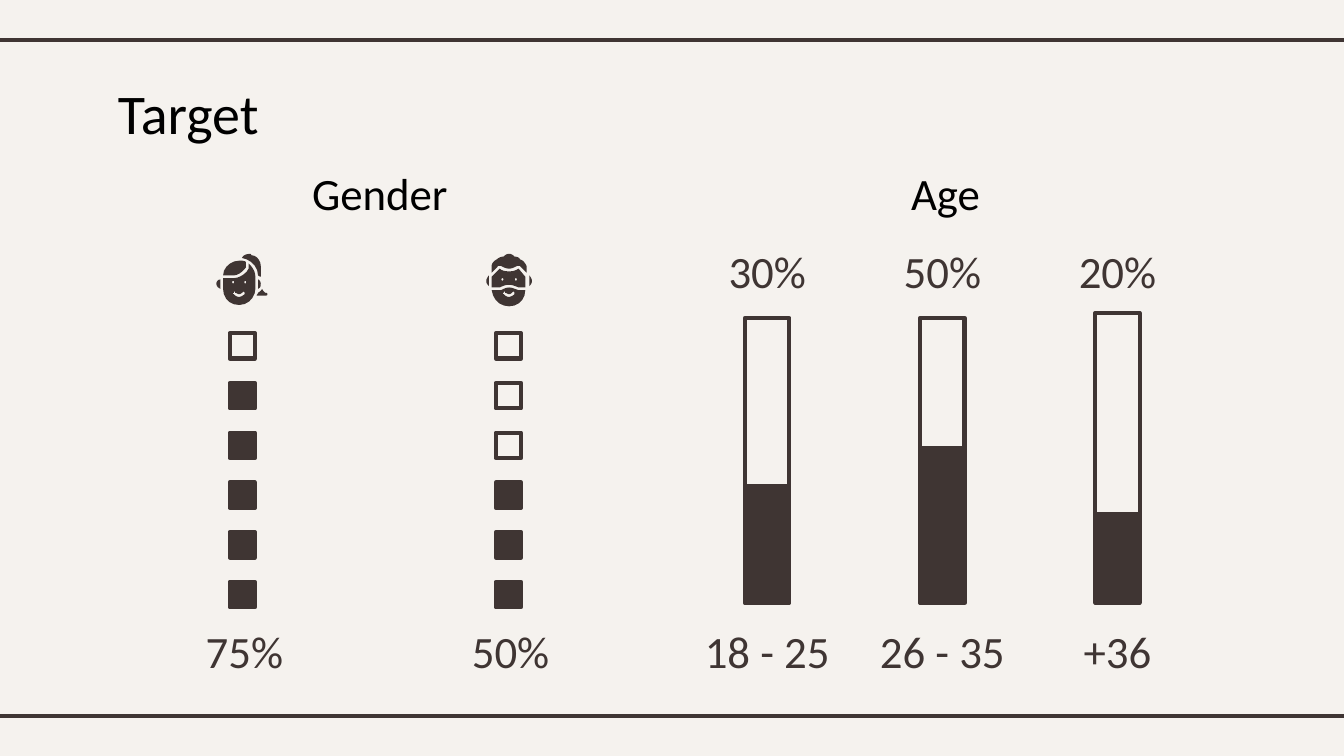
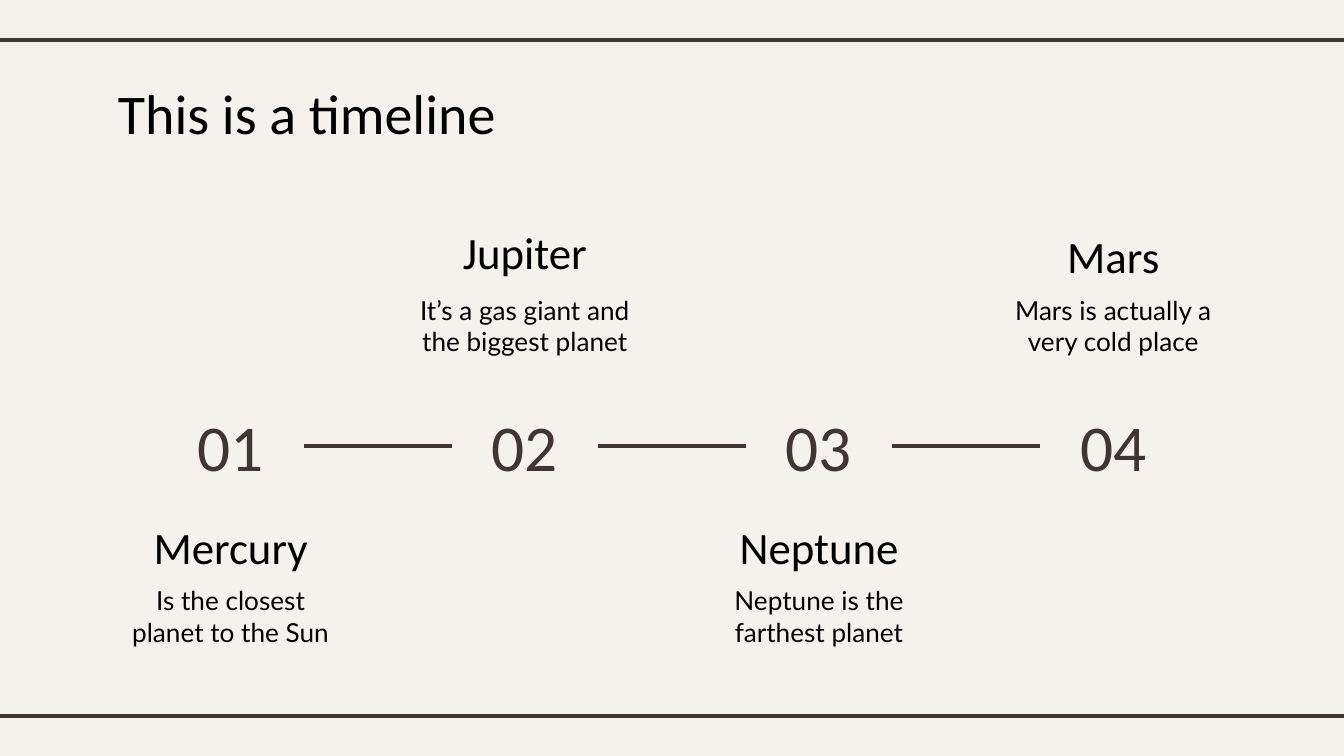
from lxml import etree
from pptx import Presentation
from pptx.dml.color import RGBColor
from pptx.enum import shapes, text
from pptx.oxml.ns import qn
from pptx.util import Cm, Pt

COLORS = {"paper": "F5F2EE", "ink": "3F3533", "heading": "000000", "body": "020202"}
SLIDE_WIDTH, SLIDE_HEIGHT = 25.4, 14.29
STROKE = 2.25
ICON_UNIT = 0.0254
CURVE_STEPS = 5

# Outlines of the two face icons, one string a part: M move, L line, C curve, Z close.
MOUTH = ("M 20 28 C 20 28 21 28 21 29 C 21 29 21 30 21 30 C 20 31 18 32 17 32 "
         "C 15 32 14 31 13 30 C 12 30 12 29 13 29 C 13 28 13 28 14 28 "
         "C 14 28 14 28 14 29 C 15 29 16 30 17 30 C 18 30 19 29 19 29 Z")


def eye(x, y):
    return (f" M {x} {y - 1} C {x + 1} {y - 1} {x + 1} {y + 1} {x} {y + 1} "
            f"C {x - 1} {y + 1} {x - 1} {y - 1} {x} {y - 1} Z ")


WOMAN = [
    "M 25 0 C 22 0 20 1 19 3 C 25 4 31 9 31 16 C 32 17 33 17 33 17 L 33 9 "
    "C 33 5 30 1 26 1 C 26 0 25 0 25 0 Z",
    "M 34 26 C 33 28 32 28 31 29 C 31 30 30 30 30 31 L 37 31 "
    "C 37 31 38 31 38 30 C 38 30 38 29 37 29 C 36 29 35 28 34 26 Z",
    "M 17 5 C 11 5 5 10 5 16 L 13 16 C 16 16 20 13 22 10 C 22 9 22 7 22 6 "
    "C 21 5 19 5 17 5 Z",
    "M 24 7 C 24 9 24 10 24 11 C 22 15 17 18 13 18 L 5 18 L 5 26 "
    "C 5 33 10 38 17 38 C 24 38 29 32 29 26 L 29 17 C 29 13 27 10 24 7 Z"
    + eye(12.5, 21) + eye(21.5, 21) + MOUTH,
    "M 31 19 L 31 26 C 33 25 33 24 33 22 C 33 21 32 19 31 19 Z",
    "M 3 19 C 1 19 0 21 0 22 C 0 24 1 25 3 26 Z",
]
MAN = [
    "M 2 16 C 1 17 0 19 0 20 C 0 22 1 23 2 24 Z",
    "M 10 11 L 4 17 L 4 25 L 10 25 C 12 24 14 23 17 23 C 19 23 22 24 24 25 "
    "L 29 25 L 29 17 L 24 11 C 21 13 19 13 17 13 C 15 13 12 13 10 11 Z"
    + eye(12, 19) + eye(22, 19),
    "M 17 0 C 15 0 14 1 13 2 C 11 2 9 3 8 4 C 6 5 4 7 4 9 L 4 14 L 9 9 L 11 9 "
    "C 13 10 15 11 17 11 C 19 11 21 10 23 9 L 25 9 L 30 14 L 30 9 "
    "C 29 7 28 5 25 4 C 25 3 23 2 21 2 C 20 1 19 0 17 0 Z",
    "M 17 25 C 15 25 13 26 11 27 L 4 27 C 5 34 10 39 17 39 "
    "C 24 39 29 34 29 27 L 24 27 C 21 26 19 25 17 25 Z " + MOUTH,
    "M 32 16 L 32 24 C 33 23 34 22 34 20 C 34 19 33 17 32 16 Z",
]


def rgb(name):
    return RGBColor.from_string(COLORS[name])


def add_text(slide, box, words, size, color, font="Calibri", centered=True,
             middle=True, right_inset=0.25):
    area = slide.shapes.add_textbox(*map(Cm, box))
    frame = area.text_frame
    frame.word_wrap = True
    frame.margin_left = frame.margin_top = frame.margin_bottom = Cm(0.25)
    frame.margin_right = Cm(right_inset)
    frame.vertical_anchor = text.MSO_ANCHOR.MIDDLE if middle else text.MSO_ANCHOR.TOP
    frame.text = words
    paragraph = frame.paragraphs[0]
    paragraph.alignment = text.PP_ALIGN.CENTER if centered else text.PP_ALIGN.LEFT
    style = paragraph.runs[0].font
    style.name, style.size = font, Pt(size)
    style.color.rgb = rgb(color)


def add_rule(slide, left, right, y):
    """Draw a horizontal line."""
    rule = slide.shapes.add_connector(
        shapes.MSO_CONNECTOR.STRAIGHT, Cm(left), Cm(y), Cm(right), Cm(y))
    rule.line.color.rgb = rgb("ink")
    rule.line.width = Pt(STROKE)
    etree.SubElement(rule._element.spPr, qn("a:effectLst"))


def add_block(slide, box, filled):
    block = slide.shapes.add_shape(shapes.MSO_SHAPE.RECTANGLE, *map(Cm, box))
    block.shadow.inherit = False
    if filled:
        block.fill.solid()
        block.fill.fore_color.rgb = rgb("ink")
    else:
        block.fill.background()
    block.line.color.rgb = rgb("ink")
    block.line.width = Pt(STROKE)
    etree.SubElement(block._element.spPr.find(qn("a:ln")), qn("a:round"))


def trace(outline):
    """Turn an outline into closed contours, with curves cut into short lines."""
    contours = []
    words = iter(outline.split())
    for command in words:
        if command == "Z":
            continue
        count = 3 if command == "C" else 1
        points = [(float(next(words)), float(next(words))) for _ in range(count)]
        if command == "M":
            contours.append(points)
        elif command == "L":
            contours[-1] += points
        else:
            curve = [contours[-1][-1], *points]
            for step in range(1, CURVE_STEPS + 1):
                t = step / CURVE_STEPS
                weights = ((1 - t) ** 3, 3 * t * (1 - t) ** 2, 3 * t * t * (1 - t), t ** 3)
                contours[-1].append(tuple(
                    sum(w * p[axis] for w, p in zip(weights, curve)) for axis in (0, 1)))
    return contours


def add_icon(slide, left, top, outlines):
    for outline in outlines:
        first, *holes = [
            [(Cm(left + x * ICON_UNIT), Cm(top + y * ICON_UNIT)) for x, y in contour]
            for contour in trace(outline)]
        builder = slide.shapes.build_freeform(*first[0], scale=1.0)
        builder.add_line_segments(first[1:], close=True)
        for hole in holes:
            builder.move_to(*hole[0])
            builder.add_line_segments(hole[1:], close=True)
        part = builder.convert_to_shape()
        part.shadow.inherit = False
        part.fill.solid()
        part.fill.fore_color.rgb = rgb("ink")
        part.line.fill.background()


def add_base_slide(prs, title):
    """Add a slide with the shared background, rules and title."""
    slide = prs.slides.add_slide(prs.slide_layouts[6])
    slide.background.fill.solid()
    slide.background.fill.fore_color.rgb = rgb("paper")
    for y in (0.76, 13.54):
        add_rule(slide, 0, SLIDE_WIDTH, y)
    add_text(slide, (1.98, 1.24, 21.44, 1.6), title, 30, "heading",
             centered=False, middle=False)
    return slide


def add_panel_heading(slide, left, top, words):
    add_text(slide, (left, top, 7.7, 0.99), words, 24, "heading", right_inset=0.15)


def add_gender_panel(slide, left, top):
    square, pitch, squares = 0.48, 0.94, 6
    add_panel_heading(slide, left + 0.36, top, "Gender")
    columns = [("75%", WOMAN, 5, 1.17), ("50%", MAN, 3, 1.24)]
    for index, (share, icon, filled, icon_left) in enumerate(columns):
        column = left + 5.03 * index
        add_icon(slide, column + icon_left, top + 1.65, icon)
        for row in range(squares):
            add_block(slide, (column + 1.42, top + 3.15 + pitch * row, square, square),
                      filled=row >= squares - filled)
        add_text(slide, (column, top + 8.66, 3.4, 0.99), share, 24, "ink")


def add_age_panel(slide, left, top):
    bar_width, bottom = 0.84, top + 8.24
    add_panel_heading(slide, left + 1.17, top, "Age")
    bars = [
        ("30%", "18 - 25", 2.86, 5.38, 2.21),
        ("50%", "26 - 35", 2.86, 5.38, 2.92),
        ("20%", "+36", 2.77, 5.16, 1.68),
    ]
    for index, (share, ages, frame_top, frame_height, level) in enumerate(bars):
        column = left + 3.31 * index
        bar_left = column + 1.28
        add_block(slide, (bar_left, top + frame_top, bar_width, frame_height), filled=False)
        add_block(slide, (bar_left, bottom - level, bar_width, level), filled=True)
        add_text(slide, (column + 0.54, top + 1.6, 2.32, 0.74), share, 24, "ink")
        add_text(slide, (column, top + 8.66, 3.4, 0.99), ages, 24, "ink")


def add_timeline(slide, left, top):
    pitch, step_width, number_width = 5.56, 4.78, 2.77
    steps = [
        ("Mercury", "Is the closest planet to the Sun", 5.56, 6.53),
        ("Jupiter", "It’s a gas giant and the biggest planet", 0, 1.04),
        ("Neptune", "Neptune is the farthest planet", 5.56, 6.53),
        ("Mars", "Mars is actually a very cold place", 0.07, 1.04),
    ]
    for index, (planet, fact, planet_top, fact_top) in enumerate(steps):
        step_left = left + pitch * index
        number_left = step_left + (step_width - number_width) / 2
        add_text(slide, (number_left, top + 3.22, number_width, 1.85),
                 f"{index + 1:02}", 35, "ink")
        add_text(slide, (step_left, top + planet_top, step_width, 0.99),
                 planet, 24, "heading")
        add_text(slide, (step_left, top + fact_top, step_width, 1.6),
                 fact, 14, "body", font="Lato", middle=False)
        if index:
            add_rule(slide, number_left - pitch + number_width, number_left, top + 4.16)


def main():
    prs = Presentation()
    prs.slide_width, prs.slide_height = Cm(SLIDE_WIDTH), Cm(SLIDE_HEIGHT)

    target = add_base_slide(prs, "Target")
    add_gender_panel(target, 2.92, 3.15)
    add_age_panel(target, 12.8, 3.15)

    planets = add_base_slide(prs, "This is a timeline")
    add_timeline(planets, 1.97, 4.27)

    prs.save("out.pptx")


if __name__ == "__main__":
    main()
